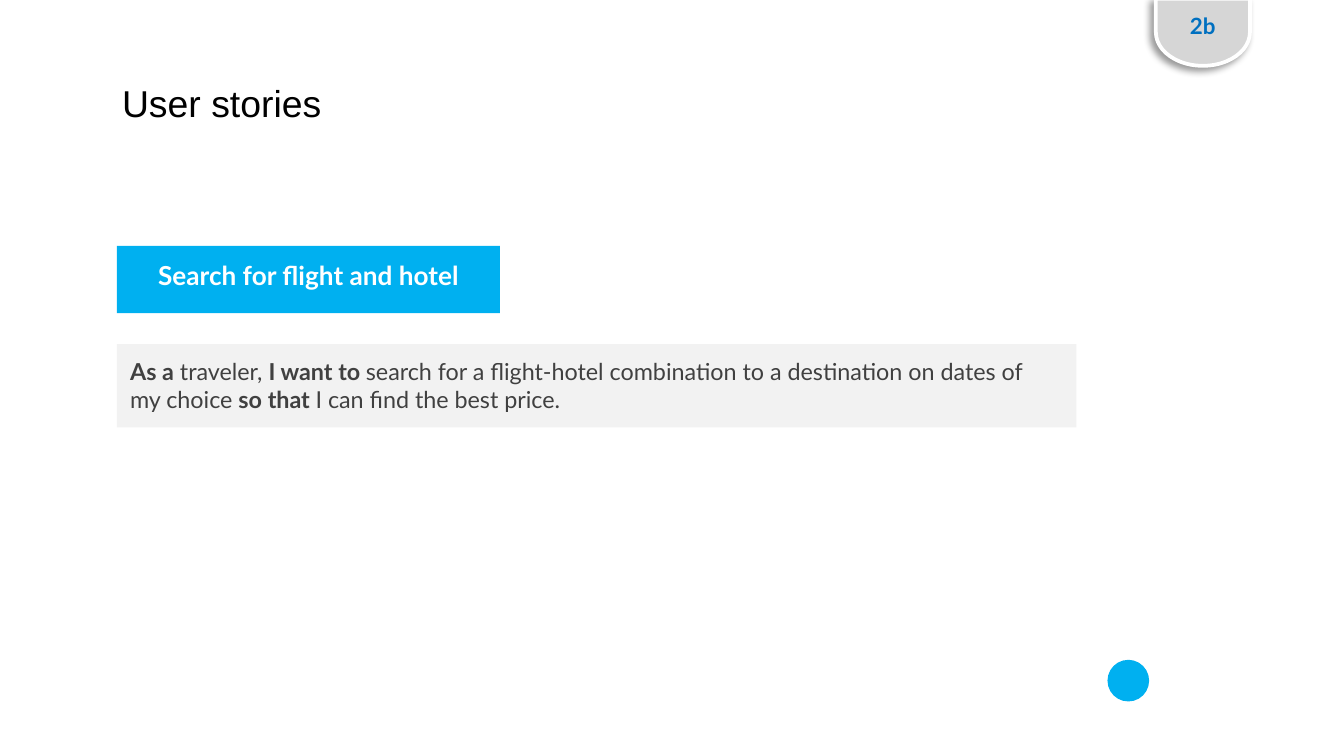
from dataclasses import dataclass

from lxml import etree
from pptx import Presentation
from pptx.dml.color import RGBColor
from pptx.enum.shapes import MSO_SHAPE
from pptx.enum.text import MSO_ANCHOR, PP_ALIGN
from pptx.oxml.ns import qn
from pptx.util import Inches, Pt

RECT = MSO_SHAPE.RECTANGLE
OVAL = MSO_SHAPE.OVAL
DELAY = MSO_SHAPE.FLOWCHART_DELAY
TOP = MSO_ANCHOR.TOP
LEFT = PP_ALIGN.LEFT
CENTER = PP_ALIGN.CENTER

SLIDE_WIDTH = 10
SLIDE_HEIGHT = SLIDE_WIDTH * 9 / 16


@dataclass(frozen=True)
class Theme:
    accent: str = "00B0F0"
    panel: str = "F2F2F2"
    tab: str = "D6D6D6"
    tab_text: str = "0070C0"
    body_text: str = "404040"
    white: str = "FFFFFF"
    black: str = "000000"
    title_font: str = "Arial"
    font: str = "Lato"
    title_size: float = 20
    heading_size: float = 14
    body_size: float = 12.5
    tab_size: float = 12


@dataclass(frozen=True)
class Box:
    left: float
    top: float
    width: float
    height: float

    def lengths(self):
        return [Inches(v) for v in (self.left, self.top, self.width, self.height)]


@dataclass(frozen=True)
class Style:
    size: float
    color: str
    font: str
    align: PP_ALIGN = LEFT
    inset_y: float = 0.1
    wrap: bool = True


@dataclass(frozen=True)
class Span:
    text: str
    bold: bool = False


THEME = Theme()
TITLE = Style(THEME.title_size, THEME.black, THEME.title_font, inset_y=0.05, wrap=False)
HEADING = Style(THEME.heading_size, THEME.white, THEME.font, CENTER)
BODY = Style(THEME.body_size, THEME.body_text, THEME.font)
TAB = Style(THEME.tab_size, THEME.tab_text, THEME.font, CENTER)

STORY = [
    [
        Span("As a", True),
        Span(" traveler, "),
        Span("I want to ", True),
        Span("search for a flight-hotel combination to a destination on dates of"),
    ],
    [
        Span("my choice "),
        Span("so that ", True),
        Span("I can find the best price."),
    ],
]


def add_filled(slide, kind: MSO_SHAPE, box: Box, fill: str):
    s = slide.shapes.add_shape(kind, *box.lengths())
    s.shadow.inherit = False
    s.fill.solid()
    s.fill.fore_color.rgb = RGBColor.from_string(fill)
    s.line.fill.background()
    return s


def write(s, lines: list[list[Span]], style: Style) -> None:
    tf = s.text_frame
    tf.word_wrap = style.wrap
    tf.vertical_anchor = TOP
    tf.margin_left = tf.margin_right = Inches(0.1)
    tf.margin_top = tf.margin_bottom = Inches(style.inset_y)
    for i, spans in enumerate(lines):
        p = tf.paragraphs[0] if i == 0 else tf.add_paragraph()
        p.alignment = style.align
        for span in spans:
            r = p.add_run()
            r.text = span.text
            r.font.size = Pt(style.size)
            r.font.name = style.font
            r.font.bold = span.bold
            r.font.color.rgb = RGBColor.from_string(style.color)


def add_shadow(s, color: str, opacity: int, blur: float, distance: float, angle: int) -> None:
    effects = s._element.spPr.find(qn("a:effectLst"))
    shadow = etree.SubElement(
        effects, qn("a:outerShdw"), blurRad=str(Pt(blur)), dist=str(Pt(distance)),
        dir=str(angle * 60000), algn="tr", rotWithShape="0",
    )
    clr = etree.SubElement(shadow, qn("a:srgbClr"), val=color)
    etree.SubElement(clr, qn("a:alpha"), val=str(opacity * 1000))


def add_page_tab(slide, label: str) -> None:
    s = add_filled(slide, DELAY, Box(8.7, -0.11, 0.5, 0.7), THEME.tab)
    s.rotation = 90
    s.line.color.rgb = RGBColor.from_string(THEME.white)
    s.line.width = Pt(2)
    add_shadow(s, THEME.black, 40, 4, 3, 135)
    tb = slide.shapes.add_textbox(*Box(8.7, -0.01, 0.5, 0.61).lengths())
    write(tb, [[Span(label, True)]], TAB)


def main() -> None:
    prs = Presentation()
    prs.slide_width = Inches(SLIDE_WIDTH)
    prs.slide_height = Inches(SLIDE_HEIGHT)
    slide = prs.slides.add_slide(prs.slide_layouts[6])

    story = add_filled(slide, RECT, Box(0.87, 2.56, 7.14, 0.62), THEME.panel)
    write(story, STORY, BODY)

    heading = add_filled(slide, RECT, Box(0.87, 1.83, 2.85, 0.5), THEME.accent)
    write(heading, [[Span("Search for flight and hotel", True)]], HEADING)

    title = slide.shapes.add_textbox(*Box(0.81, 0.55, 1.7, 0.44).lengths())
    write(title, [[Span("User stories")]], TITLE)

    add_page_tab(slide, "2b")
    add_filled(slide, OVAL, Box(8.24, 4.91, 0.31, 0.31), THEME.accent)

    prs.save("out.pptx")


if __name__ == "__main__":
    main()
